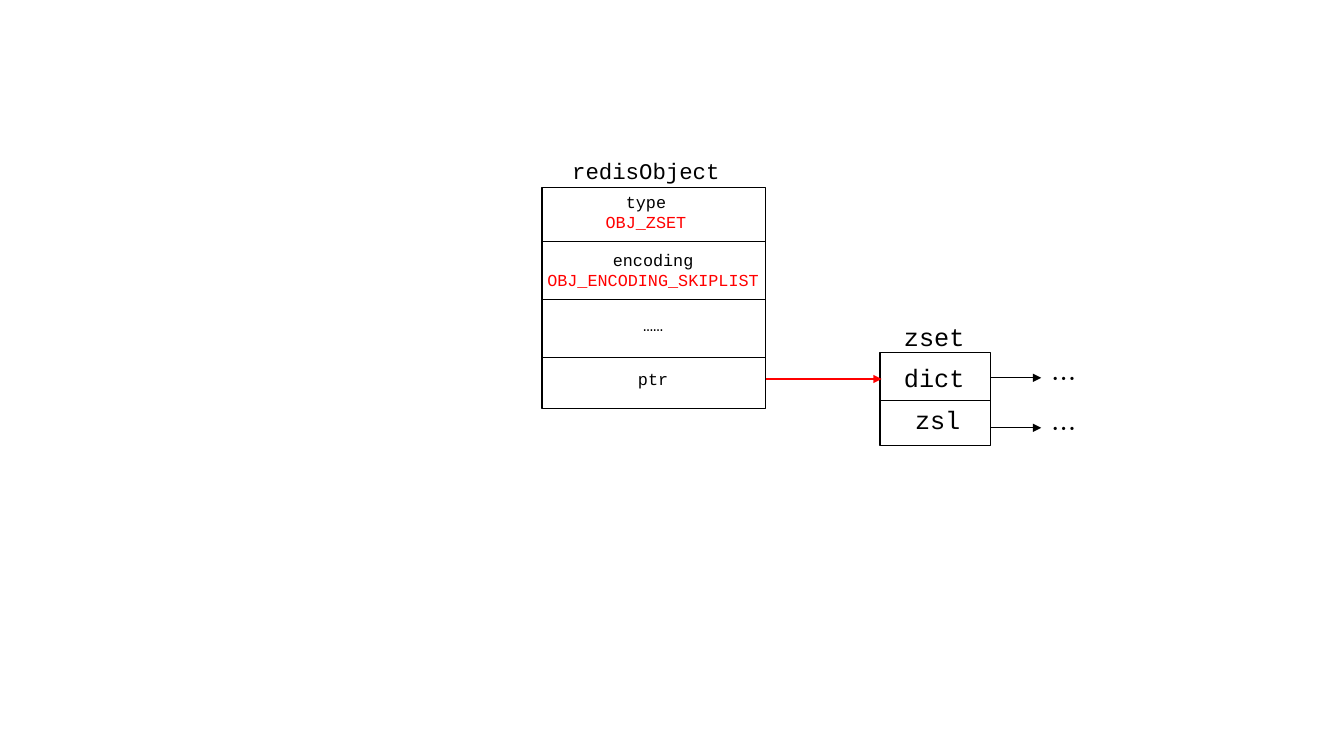
"""Draw the memory layout of a sorted-set redisObject pointing to its zset."""
from typing import NamedTuple

from pptx import Presentation
from pptx.dml.color import RGBColor
from pptx.enum.shapes import MSO_CONNECTOR as Link, MSO_SHAPE as Preset
from pptx.enum.text import PP_ALIGN as Align
from pptx.oxml.ns import qn
from pptx.oxml.xmlchemy import OxmlElement
from pptx.util import Cm, Pt

BLACK, RED, WHITE = "000000", "FF0000", "FFFFFF"
MONO, CJK = "Courier New", "Noto Sans CJK SC"
OBJECT_LEFT, OBJECT_RIGHT, OBJECT_CENTER = 13.66, 19.3, 16.46
ZSET_LEFT, ZSET_RIGHT = 22.18, 24.97
ROW_HEIGHT = 1.47


class Box(NamedTuple):
    left: float
    top: float
    width: float
    height: float


class Label(NamedTuple):
    box: Box
    lines: tuple[str, ...]
    size: int
    align: Align = Align.LEFT
    font: str = MONO


class Line(NamedTuple):
    left: float
    right: float
    y: float
    color: str = BLACK
    weight: float = 0.5
    arrow: bool = False


def rgb(value: str) -> RGBColor:
    return RGBColor.from_string(value)


def field(top: float, *lines: str, center: float = OBJECT_CENTER) -> Label:
    box = Box(center - 3, top, 6, 0.25 + 0.51 * len(lines))
    return Label(box, lines, 12, Align.CENTER)


def draw_frame(page, box: Box) -> None:
    frame = page.shapes.add_shape(Preset.RECTANGLE, *map(Cm, box))
    frame.shadow.inherit = False
    frame.fill.solid()
    frame.fill.fore_color.rgb = rgb(WHITE)
    frame.line.color.rgb = rgb(BLACK)
    frame.line.width = Pt(1)


def draw_line(page, line: Line) -> None:
    link = page.shapes.add_connector(
        Link.STRAIGHT, Cm(line.left), Cm(line.y), Cm(line.right), Cm(line.y))
    link.line.color.rgb = rgb(line.color)
    link.line.width = Pt(line.weight)
    if line.arrow:
        head = OxmlElement("a:tailEnd")
        head.set("type", "triangle")
        link.line._get_or_add_ln().append(head)
    link._element.spPr.append(OxmlElement("a:effectLst"))


def draw_label(page, label: Label) -> None:
    frame = page.shapes.add_textbox(*map(Cm, label.box)).text_frame
    frame.word_wrap = True
    frame.text = "\n".join(label.lines)
    for para, color in zip(frame.paragraphs, (BLACK, RED)):
        para.alignment = label.align
        para.font.size = Pt(label.size)
        para.font.name = label.font
        para.font.color.rgb = rgb(color)
        east_asian = OxmlElement("a:ea")
        east_asian.set("typeface", label.font)
        para._p.find(".//" + qn("a:latin")).addnext(east_asian)


FRAMES = (
    Box(OBJECT_LEFT, 4.72, OBJECT_RIGHT - OBJECT_LEFT, 5.58),
    Box(ZSET_LEFT, 8.89, ZSET_RIGHT - ZSET_LEFT, 2.34),
)
LINES = (
    *(Line(OBJECT_LEFT, OBJECT_RIGHT, 6.07 + ROW_HEIGHT * row) for row in range(3)),
    Line(ZSET_LEFT, ZSET_RIGHT, 10.08),
    Line(OBJECT_RIGHT, 22.22, 9.55, RED, 1.5, True),
    *(Line(ZSET_RIGHT, 26.24, y, arrow=True) for y in (9.52, 10.78)),
)
LABELS = (
    field(4.7, "type", "OBJ_ZSET", center=16.28),
    field(6.17, "encoding", "OBJ_ENCODING_SKIPLIST"),
    field(7.8, "……"),
    field(9.17, "ptr"),
    Label(Box(14.17, 3.84, 4.67, 0.94), ("redisObject",), 16),
    Label(Box(22.53, 7.98, 2.11, 1.02), ("zset",), 18),
    Label(Box(22.53, 9.0, 2.11, 1.02), ("dict",), 18),
    Label(Box(22.81, 10.06, 2.11, 1.02), ("zsl",), 18),
    *(Label(Box(26.24, top, 1.27, 1.02), ("…",), 18, font=CJK) for top in (9.02, 10.28)),
)

deck = Presentation()
deck.slide_width, deck.slide_height = Cm(33.87), Cm(19.05)
page = deck.slides.add_slide(deck.slide_layouts[6])
for draw, items in ((draw_frame, FRAMES), (draw_line, LINES), (draw_label, LABELS)):
    for item in items:
        draw(page, item)
deck.save("out.pptx")
